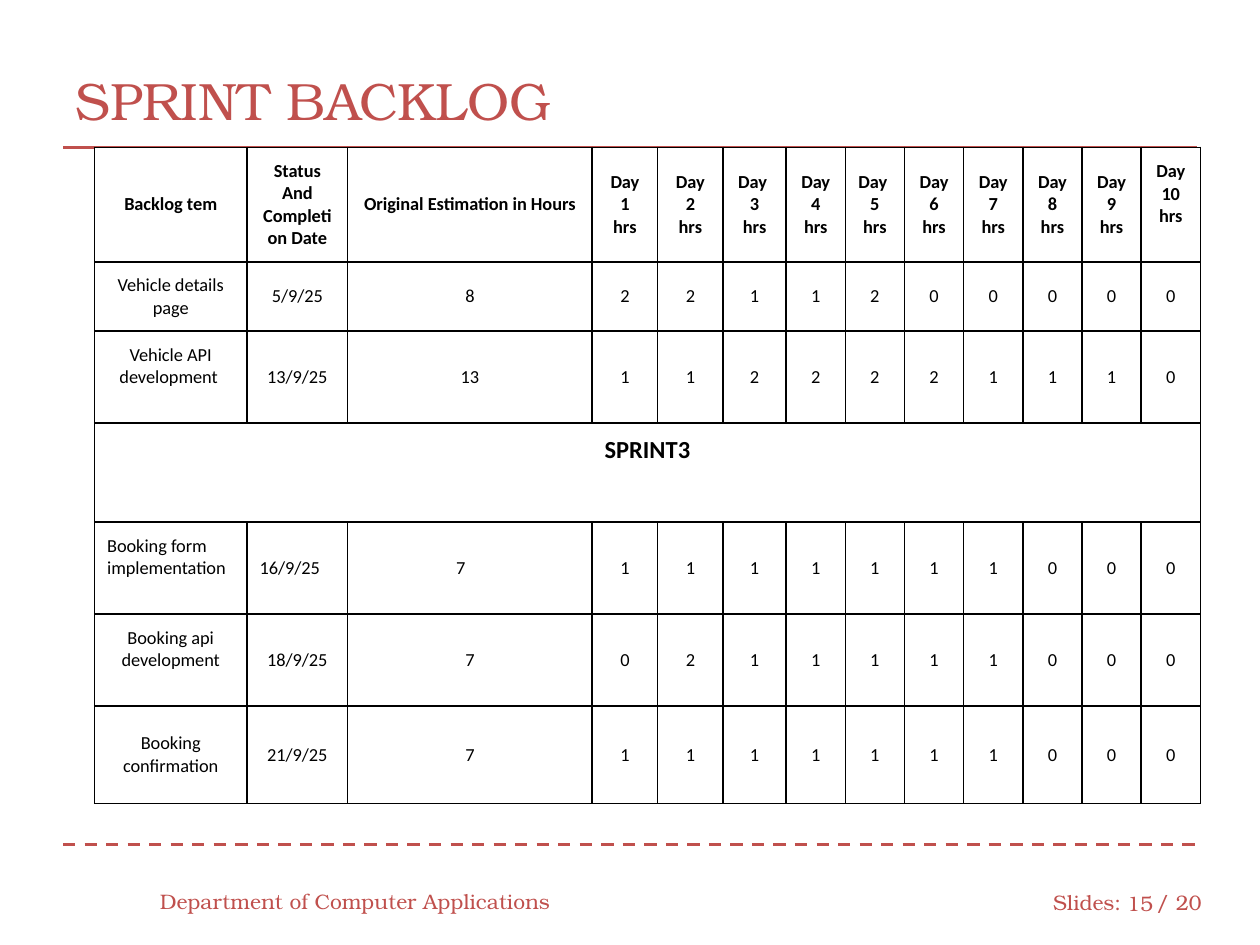
from dataclasses import dataclass
from lxml.etree import SubElement
from pptx import Presentation
from pptx.dml.color import RGBColor as Rgb
from pptx.enum.dml import MSO_LINE_DASH_STYLE as Dash
from pptx.enum.shapes import MSO_CONNECTOR as Conn
from pptx.enum.text import MSO_ANCHOR as Anchor, MSO_AUTO_SIZE as Fit, PP_ALIGN as Align
from pptx.oxml.ns import qn
from pptx.util import Inches, Pt

HUES = {"accent": "C0504D", "ink": "000000", "paper": "FFFFFF"}
SERIF, SANS = "TeX Gyre Bonum", "Calibri"
WIDE, HIGH = Inches(10), Inches(7.5)
COLS = [12.1, 8, 19.4, 5.2, 5.2, 5] + [4.7] * 7
ROWS = [12.1, 7.3, 9.73, 10.5, 9.73, 9.73, 10.3]
EDGES = ("a:lnL", "a:lnR", "a:lnT", "a:lnB")
PAD = 0.1


@dataclass
class Label:
    text: str
    x: float
    y: float
    w: float
    side: Align = Align.LEFT


@dataclass
class Task:
    name: str
    date: str
    total: int
    hours: str
    low: float = PAD
    left: bool = False


@dataclass
class Look:
    size: float = 10.5
    bold: bool = False
    side: Align = Align.CENTER
    low: float = PAD
    inset: float = PAD


LABELS = [
    Label("Slides:", 82.6, 92.8, 7.5),
    Label("/ 20", 90.8, 92.8, 5.8),
    Label("Department of Computer Applications", 11.7, 92.67, 33.3),
    Label("15", 88.3, 92.93, 4.2, Align.RIGHT),
]
HEADS = ["Backlog tem", "Status And Completion Date", "Original Estimation in Hours"]
SPLIT = {3: "Day \n3", 4: "Day\n4", 5: "Day \n5"}
RAISED = 0.27
TASKS = {
    1: Task("Vehicle details page", "5/9/25", 8, "2211200000"),
    2: Task("Vehicle API development ", "13/9/25", 13, "1122221110", RAISED),
    4: Task("Booking form implementation", "16/9/25", 7, "1111111000", RAISED, True),
    5: Task("Booking api development", "18/9/25", 7, "0211111000", RAISED),
    6: Task("Booking confirmation", "21/9/25", 7, "1111111000"),
}


def hue(name: str) -> Rgb:
    return Rgb.from_string(HUES[name])


def across(share: float) -> int:
    return int(WIDE * share / 100)


def down(share: float) -> int:
    return int(HIGH * share / 100)


def style(frame, face: str, size: float, tone: str, side: Align, bold: bool = False) -> None:
    for para in frame.paragraphs:
        para.alignment = side
        for run in para.runs:
            font = run.font
            font.name, font.size, font.bold = face, Pt(size), bold
            font.color.rgb = hue(tone)


def rule(slide, y: float, dash: Dash) -> None:
    line = slide.shapes.add_connector(Conn.STRAIGHT, across(5), down(y), across(95), down(y))
    line.line.color.rgb = hue("accent")
    line.line.width = Pt(1.75)
    line.line.dash_style = dash
    SubElement(line._element.spPr, qn("a:effectLst"))


def label(slide, item: Label) -> None:
    box = slide.shapes.add_textbox(across(item.x), down(item.y), across(item.w), down(5.33))
    frame = box.text_frame
    frame.word_wrap = True
    frame.vertical_anchor = Anchor.MIDDLE
    frame.text = item.text
    style(frame, SERIF, 12, "accent", item.side)


def border(cell) -> None:
    props = cell._tc.get_or_add_tcPr()
    for spot, tag in enumerate(EDGES):
        edge = props.makeelement(qn(tag), {"w": str(Pt(1))})
        props.insert(spot, edge)
        SubElement(SubElement(edge, qn("a:solidFill")), qn("a:srgbClr"), val=HUES["ink"])


def paint(cell) -> None:
    cell.fill.solid()
    cell.fill.fore_color.rgb = hue("paper")
    border(cell)


def write(cell, text: str, look: Look) -> None:
    cell.vertical_anchor = Anchor.MIDDLE
    cell.margin_left, cell.margin_right = Inches(look.inset), Inches(PAD)
    cell.margin_top, cell.margin_bottom = Inches(PAD), Inches(look.low)
    cell.text_frame.text = text
    style(cell.text_frame, SANS, look.size, "ink", look.side, look.bold)


def heads(grid) -> None:
    days = [SPLIT.get(day, f"Day {day}") + "\nhrs" for day in range(1, 11)]
    for col, text in enumerate(HEADS + days):
        low = RAISED if col == len(COLS) - 1 else PAD
        write(grid.cell(0, col), text, Look(bold=True, low=low))


def fill(grid, row: int, task: Task) -> None:
    for col, text in enumerate([task.name, task.date, str(task.total), *task.hours]):
        look = Look(low=task.low if col == 0 else PAD)
        if task.left and col < 3:
            look.side = Align.LEFT
            look.inset = 0.86 if col == 2 else PAD
        write(grid.cell(row, col), text, look)


def backlog(slide) -> None:
    grid = slide.shapes.add_table(
        len(ROWS), len(COLS), across(7.5), down(15.6), across(sum(COLS)), down(sum(ROWS))
    ).table
    for col, share in zip(grid.columns, COLS):
        col.width = across(share)
    for row, share in zip(grid.rows, ROWS):
        row.height = down(share)
    for cell in grid.iter_cells():
        paint(cell)
    heads(grid)
    for row, task in TASKS.items():
        fill(grid, row, task)
    band = grid.cell(3, 0)
    band.merge(grid.cell(3, len(COLS) - 1))
    write(band, "SPRINT3", Look(14, True, low=0.45))


def title(slide) -> None:
    head = slide.shapes.title
    head.left, head.top, head.width, head.height = across(5), down(4.4), across(90), down(12.27)
    frame = head.text_frame
    frame.text = "SPRINT BACKLOG"
    frame.auto_size = Fit.NONE
    frame.vertical_anchor = Anchor.MIDDLE
    style(frame, SERIF, 30, "accent", Align.LEFT)


def main() -> None:
    deck = Presentation()
    deck.slide_width, deck.slide_height = WIDE, HIGH
    slide = deck.slides.add_slide(deck.slide_layouts[5])
    slide.background.fill.solid()
    slide.background.fill.fore_color.rgb = hue("paper")
    rule(slide, 89.33, Dash.DASH)
    rule(slide, 15.6, Dash.SOLID)
    title(slide)
    for item in LABELS:
        label(slide, item)
    backlog(slide)
    deck.save("out.pptx")


if __name__ == "__main__":
    main()
